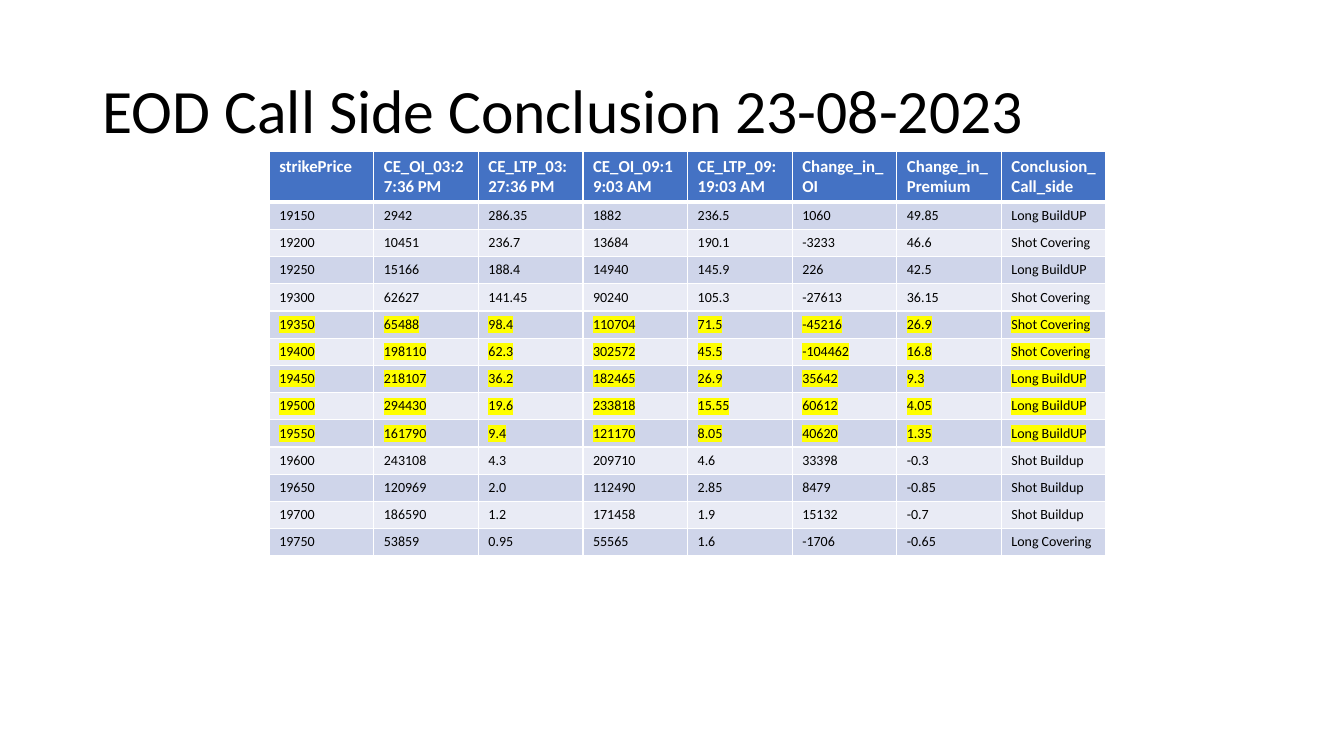
from lxml import etree
from pptx import Presentation
from pptx.dml.color import RGBColor
from pptx.enum.text import MSO_ANCHOR, PP_ALIGN
from pptx.oxml.ns import qn
from pptx.util import Inches, Pt

LEFT = PP_ALIGN.LEFT
MIDDLE = MSO_ANCHOR.MIDDLE
TITLE_ONLY = 5

HEADERS = [
    "strikePrice", "CE_OI_03:27:36 PM", "CE_LTP_03:27:36 PM", "CE_OI_09:19:03 AM",
    "CE_LTP_09:19:03 AM", "Change_in_OI", "Change_in_Premium", "Conclusion_Call_side",
]
STRIKES = [
    ["19150", "2942", "286.35", "1882", "236.5", "1060", "49.85", "Long BuildUP"],
    ["19200", "10451", "236.7", "13684", "190.1", "-3233", "46.6", "Shot Covering"],
    ["19250", "15166", "188.4", "14940", "145.9", "226", "42.5", "Long BuildUP"],
    ["19300", "62627", "141.45", "90240", "105.3", "-27613", "36.15", "Shot Covering"],
    ["19350", "65488", "98.4", "110704", "71.5", "-45216", "26.9", "Shot Covering"],
    ["19400", "198110", "62.3", "302572", "45.5", "-104462", "16.8", "Shot Covering"],
    ["19450", "218107", "36.2", "182465", "26.9", "35642", "9.3", "Long BuildUP"],
    ["19500", "294430", "19.6", "233818", "15.55", "60612", "4.05", "Long BuildUP"],
    ["19550", "161790", "9.4", "121170", "8.05", "40620", "1.35", "Long BuildUP"],
    ["19600", "243108", "4.3", "209710", "4.6", "33398", "-0.3", "Shot Buildup"],
    ["19650", "120969", "2.0", "112490", "2.85", "8479", "-0.85", "Shot Buildup"],
    ["19700", "186590", "1.2", "171458", "1.9", "15132", "-0.7", "Shot Buildup"],
    ["19750", "53859", "0.95", "55565", "1.6", "-1706", "-0.65", "Long Covering"],
]
HIGHLIGHTED = {"19350", "19400", "19450", "19500", "19550"}


def color(value):
    return RGBColor.from_string(value)


class SlideBuilder:
    font = "Calibri"
    white, black = "FFFFFF", "000000"
    header_fill, bands = "4472C4", ("CFD5EA", "E9EBF5")
    marker = "FFFF00"

    def __init__(self, page):
        self.page = page

    def add_span(self, para, text, size, ink, bold=False, marker=None):
        span = para.add_run()
        span.text = text
        span.font.color.rgb = color(ink)
        for name, value in {"name": self.font, "size": Pt(size), "bold": bold}.items():
            setattr(span.font, name, value)
        if marker:
            highlight = etree.Element(qn("a:highlight"))
            etree.SubElement(highlight, qn("a:srgbClr"), val=marker)
            span.font._element.find(qn("a:solidFill")).addnext(highlight)

    def title(self, text, left, top, width, height):
        box = self.page.shapes.title
        place = {"left": left, "top": top, "width": width, "height": height}
        for name, value in place.items():
            setattr(box, name, Inches(value))
        box.text_frame.vertical_anchor = MIDDLE
        para = box.text_frame.paragraphs[0]
        para.alignment, para.line_spacing = LEFT, 0.9
        self.add_span(para, text, 44, self.black)

    def borders(self, cell, top, bottom):
        properties = cell._tc.get_or_add_tcPr()
        for side, width in {"lnL": 1, "lnR": 1, "lnT": top, "lnB": bottom}.items():
            line = etree.SubElement(properties, qn(f"a:{side}"), w=str(Pt(width)))
            fill = etree.SubElement(line, qn("a:solidFill"))
            etree.SubElement(fill, qn("a:srgbClr"), val=self.white)

    def table(self, headers, records, left, top, width, header_height, row_height):
        rows = [headers] + records
        height = header_height + row_height * len(records)
        grid = self.page.shapes.add_table(
            len(rows), len(headers), Inches(left), Inches(top), Inches(width), Inches(height)
        ).table
        for column in grid.columns:
            column.width = Inches(width / len(headers))
        for number, values in enumerate(rows):
            is_header = number == 0
            grid.rows[number].height = Inches(header_height if is_header else row_height)
            background = self.header_fill if is_header else self.bands[(number - 1) % 2]
            marker = self.marker if values[0] in HIGHLIGHTED else None
            for cell, text in zip(grid.rows[number].cells, values):
                # A heavier rule separates the header from the body
                self.borders(cell, 3 if number == 1 else 1, 3 if is_header else 1)
                cell.fill.solid()
                cell.fill.fore_color.rgb = color(background)
                para = cell.text_frame.paragraphs[0]
                if is_header:
                    self.add_span(para, text, 12, self.white, bold=True)
                else:
                    self.add_span(para, text, 10, self.black, marker=marker)


def main():
    deck = Presentation()
    deck.slide_width, deck.slide_height = Inches(13.33), Inches(7.5)
    builder = SlideBuilder(deck.slides.add_slide(deck.slide_layouts[TITLE_ONLY]))

    # Title
    builder.title("EOD Call Side Conclusion 23-08-2023", 0.92, 0.4, 11.5, 1.45)

    # Strike price table
    builder.table(HEADERS, STRIKES, 2.67, 1.5, 8.3, 0.49, 0.27)

    deck.save("out.pptx")


if __name__ == "__main__":
    main()
